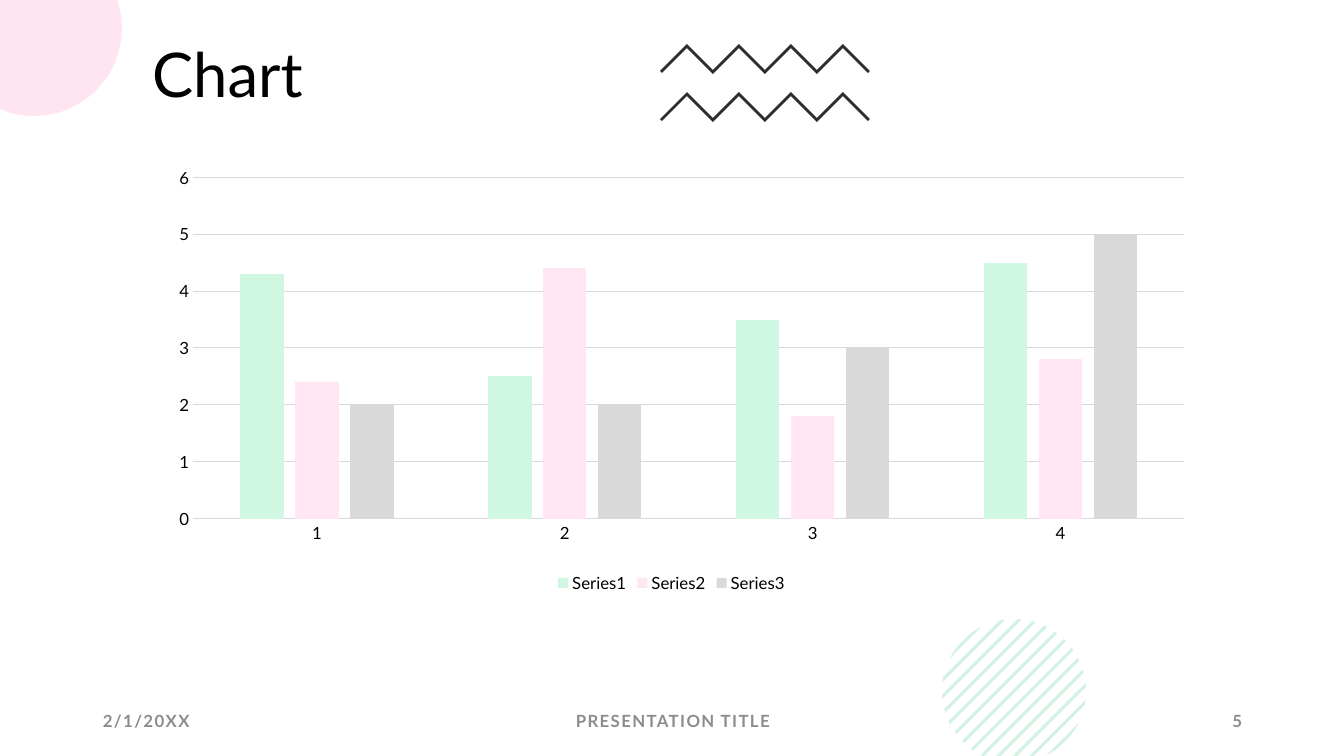
"""Build the chart slide with its decorative shapes and footer."""
import math

from lxml import etree
from pptx import Presentation
from pptx import util as u
from pptx.chart.data import CategoryChartData
from pptx.dml.color import RGBColor
from pptx.enum import chart as ch, text
from pptx.oxml.ns import qn

FONT = "Lato"
COLORS = {"ink": "000000", "footer": "8C8C8C", "zigzag": "2D2D2D", "grid": "D9D9D9",
          "stripe": "21C46B", "disc": "FF80BD"}
TITLE = ("Chart", (142, 39, 458, 157))
FOOTERS = [
    ("2/1/20XX", (93, 701, 302, 40), text.PP_ALIGN.LEFT),
    ("PRESENTATION TITLE", (446, 701, 454, 40), text.PP_ALIGN.CENTER),
    ("5", (950, 701, 302, 40), text.PP_ALIGN.RIGHT),
]
CATEGORIES = ["1", "2", "3", "4"]
SERIES = [
    ("Series1", (4.3, 2.5, 3.5, 4.5), "CFF7E1"),
    ("Series2", (2.4, 4.4, 1.8, 2.8), "FFE6F2"),
    ("Series3", (2, 2, 3, 5), "D9D9D9"),
]
CHART_BOX = (147, 167, 1049, 430)
PLOT = {"x": 0.044, "y": 0.024, "w": 0.945, "h": 0.794}
WIDTH, HEIGHT = 1344, 756
PX = 12192000 / WIDTH


def px(value):
    return u.Emu(round(value * PX))


def rgb(name):
    return RGBColor.from_string(COLORS.get(name, name))


def set_font(font, size, color="ink", bold=False):
    for key, value in {"name": FONT, "size": u.Pt(size), "bold": bold}.items():
        setattr(font, key, value)
    font.color.rgb = rgb(color)


def outline(s, points, close=True):
    scaled = [(px(x), px(y)) for x, y in points]
    builder = s.shapes.build_freeform(*scaled[0], scale=1.0)
    builder.add_line_segments(scaled[1:], close=close)
    shape = builder.convert_to_shape()
    shape.shadow.inherit = False
    return shape


def tint(shape, color):
    shape.fill.solid()
    shape.fill.fore_color.rgb = rgb(color)
    shape.line.fill.background()
    clr = shape.fill._xPr.find(qn("a:solidFill"))[0]
    etree.SubElement(clr, qn("a:alpha"), val="20000")


def add_striped_disc(s, cx=1014, cy=691, r=72, pitch=16.5, half=2.2, steps=6):
    for k in range(-6, 7):
        near, far = (math.acos(max(-1, min(1, (k * pitch + side) / math.sqrt(2) / r)))
                     for side in (-half, half))
        arc = [near + (far - near) * i / steps for i in range(steps + 1)]
        points = []
        for a in arc + [-a for a in reversed(arc)]:
            x = cx + r * math.cos(a + math.pi / 4)
            y = cy + r * math.sin(a + math.pi / 4)
            below = max(0, y - HEIGHT)
            points.append((x + below, y - below))
        tint(outline(s, points), "stripe")


def add_corner_disc(s, cx=34, cy=28, r=88, steps=120):
    angles = [2 * math.pi * i / steps for i in range(steps)]
    tint(outline(s, [(max(0, cx + r * math.cos(a)), max(0, cy + r * math.sin(a)))
                     for a in angles]), "disc")


def add_zigzags(s, left=661, step=26, rows=(72, 120)):
    for base in rows:
        shape = outline(s, [(left + step * i, base - step * (i % 2)) for i in range(9)], False)
        shape.fill.background()
        shape.line.color.rgb = rgb("zigzag")
        shape.line.width = u.Pt(2)
        etree.SubElement(shape.line._ln, qn("a:miter"), lim="800000")


def add_title(s):
    label, box = TITLE
    title = s.shapes.title
    title.left, title.top, title.width, title.height = map(px, box)
    tf = title.text_frame
    tf.text = label
    tf.auto_size = text.MSO_AUTO_SIZE.NONE
    tf.vertical_anchor = text.MSO_ANCHOR.TOP
    p = tf.paragraphs[0]
    p.alignment, p.line_spacing = text.PP_ALIGN.LEFT, 0.9
    set_font(p.runs[0].font, 44)


def add_footers(s):
    for label, box, align in FOOTERS:
        tf = s.shapes.add_textbox(*map(px, box)).text_frame
        tf.word_wrap = True
        tf.vertical_anchor = text.MSO_ANCHOR.MIDDLE
        p = tf.paragraphs[0]
        p.alignment = align
        r = p.add_run()
        r.text = label
        set_font(r.font, 12, "footer", True)
        r.font._element.set("spc", "100")


def rule(line):
    line.color.rgb = rgb("grid")
    line.width = u.Pt(0.75)


def add_chart(s):
    data = CategoryChartData()
    data.categories = CATEGORIES
    for name, values, _ in SERIES:
        data.add_series(name, values)
    chart = s.shapes.add_chart(ch.XL_CHART_TYPE.COLUMN_CLUSTERED, *map(px, CHART_BOX), data).chart
    set_font(chart.font, 10)
    chart.has_title = False
    chart.has_legend = True
    chart.legend.position = ch.XL_LEGEND_POSITION.BOTTOM
    chart.legend.include_in_layout = False
    set_font(chart.legend.font, 12)

    plot = chart.plots[0]
    for key, value in {"gap_width": 219, "overlap": -27, "vary_by_categories": False}.items():
        setattr(plot, key, value)
    for series, (_, _, color) in zip(plot.series, SERIES):
        series.format.fill.solid()
        series.format.fill.fore_color.rgb = rgb(color)

    for axis in (chart.category_axis, chart.value_axis):
        axis.major_tick_mark = axis.minor_tick_mark = ch.XL_TICK_MARK.NONE
        set_font(axis.tick_labels.font, 12)
    rule(chart.category_axis.format.line)
    axis = chart.value_axis
    for key, value in {"minimum_scale": 0, "maximum_scale": 6, "major_unit": 1,
                       "has_major_gridlines": True}.items():
        setattr(axis, key, value)
    axis.format.line.fill.background()
    rule(axis.major_gridlines.format.line)

    area = chart._chartSpace.chart.plotArea
    for old in area.findall(qn("c:layout")):
        area.remove(old)
    layout = etree.Element(qn("c:layout"))
    area.insert(0, layout)
    manual = etree.SubElement(layout, qn("c:manualLayout"))
    settings = {"layoutTarget": "inner", "xMode": "edge", "yMode": "edge", **PLOT}
    for tag, value in settings.items():
        etree.SubElement(manual, qn("c:" + tag), val=str(value))


def main():
    prs = Presentation()
    prs.slide_width, prs.slide_height = px(WIDTH), px(HEIGHT)
    s = prs.slides.add_slide(prs.slide_layouts[5])
    add_striped_disc(s)
    add_corner_disc(s)
    add_zigzags(s)
    add_title(s)
    add_footers(s)
    add_chart(s)
    prs.save("out.pptx")


if __name__ == "__main__":
    main()
